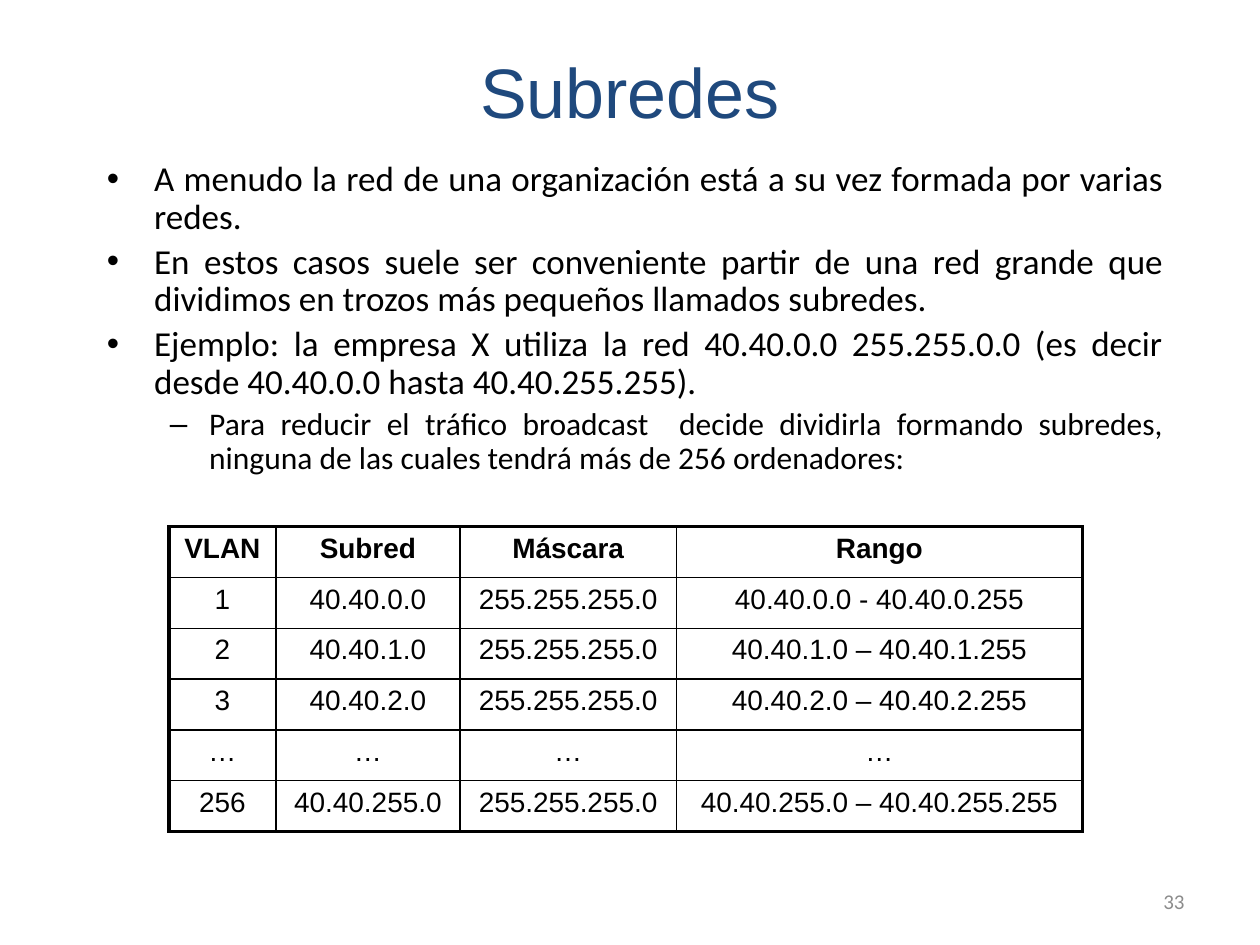
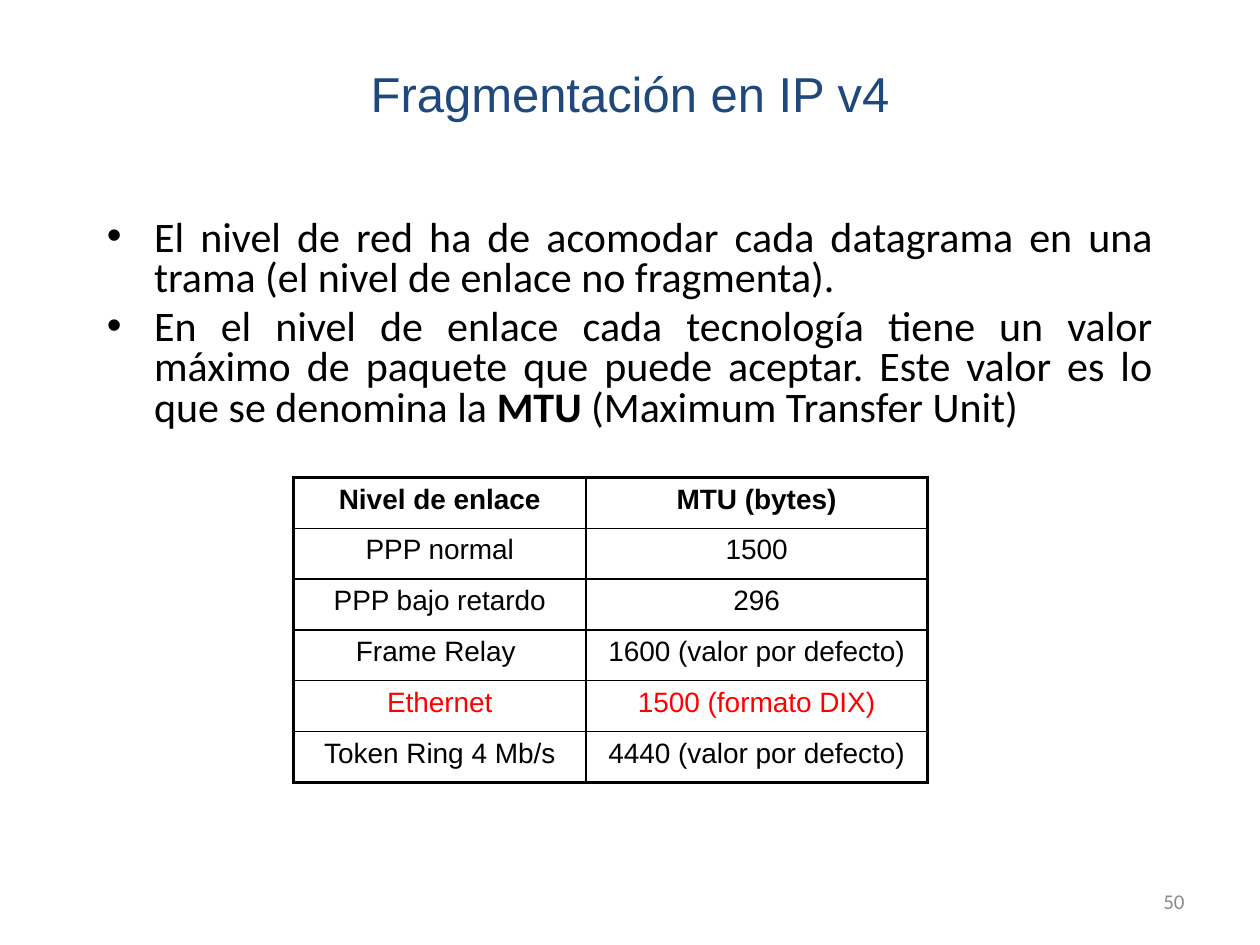
from dataclasses import dataclass

import lxml.etree
import pptx
import pptx.dml.color
import pptx.enum.text
import pptx.oxml.ns
import pptx.util

Pt = pptx.util.Pt
RGBColor = pptx.dml.color.RGBColor
Align = pptx.enum.text.PP_ALIGN
Anchor = pptx.enum.text.MSO_ANCHOR

BLACK = RGBColor(0x00, 0x00, 0x00)
RED = RGBColor(0xFF, 0x00, 0x00)
GREY = RGBColor(0x8C, 0x8C, 0x8C)
TITLE_BLUE = RGBColor(0x1F, 0x49, 0x7D)
TITLE_SKY = RGBColor(0x28, 0xA7, 0xDF)

HEADING_FONT = "Arial"
BODY_FONT = "Calibri"
TABLE_SIZE = 16
ROW_HEIGHT = 29.05
OUTER_BORDER = 2.25
INNER_BORDER = 1
SPACE_BEFORE_RATIO = 0.2


@dataclass(frozen=True)
class Box:
    left: float
    top: float
    width: float
    height: float


@dataclass(frozen=True)
class BulletLevel:
    symbol: str
    margin: float
    hanging: float


@dataclass(frozen=True)
class Bullet:
    """One list item; every second text segment is bold."""
    segments: tuple[str, ...]
    size: float
    level: int = 0


@dataclass(frozen=True)
class TableData:
    left: float
    top: float
    column_widths: tuple[float, ...]
    rows: tuple[tuple[str, ...], ...]
    highlighted_row: int | None = None


@dataclass(frozen=True)
class SlideContent:
    title: str
    title_size: float
    number: str
    body_box: Box
    line_spacing: float
    bullets: tuple[Bullet, ...]
    table: TableData


TITLE_BOX = Box(36, 21.6, 648, 69.1)
NUMBER_BOX = Box(516, 500.5, 168, 28.8)
BULLET_LEVELS = (BulletLevel("•", 27, 27), BulletLevel("–", 58.5, 22.5))

MASK = "255.255.255.0"
SUBNETS = SlideContent(
    title="Subredes",
    title_size=40,
    number="33",
    body_box=Box(54, 88.6, 618, 198.7),
    line_spacing=0.9,
    bullets=(
        Bullet(("A menudo la red de una organización está a su vez formada "
                "por varias redes. ",), 20),
        Bullet(("En estos casos suele ser conveniente partir de una red grande "
                "que dividimos en trozos más pequeños llamados subredes.",), 20),
        Bullet(("Ejemplo: la empresa X utiliza la red 40.40.0.0 255.255.0.0 "
                "(es decir desde 40.40.0.0 hasta 40.40.255.255). ",), 20),
        Bullet(("Para reducir el tráfico broadcast  decide dividirla formando "
                "subredes, ninguna de las cuales tendrá más de 256 ordenadores:",),
               18, level=1),
    ),
    table=TableData(
        left=96.5,
        top=301,
        column_widths=(61.2, 105.1, 123.8, 231.9),
        rows=(
            ("VLAN", "Subred", "Máscara", "Rango"),
            ("1", "40.40.0.0", MASK, "40.40.0.0 - 40.40.0.255"),
            ("2", "40.40.1.0", MASK, "40.40.1.0 – 40.40.1.255"),
            ("3", "40.40.2.0", MASK, "40.40.2.0 – 40.40.2.255"),
            ("…", "…", "…", "…"),
            ("256", "40.40.255.0", MASK, "40.40.255.0 – 40.40.255.255"),
        ),
    ),
)
FRAGMENTATION = SlideContent(
    title="Fragmentación en IP v4",
    title_size=28,
    number="50",
    body_box=Box(54, 122.4, 612, 136.8),
    line_spacing=0.8,
    bullets=(
        Bullet(("El nivel de red ha de acomodar cada datagrama en una trama "
                "(el nivel de enlace no fragmenta).",), 24),
        Bullet(("En el nivel de enlace cada tecnología tiene un valor máximo de "
                "paquete que puede aceptar. Este valor es lo que se denomina la ",
                "MTU", " (Maximum Transfer Unit)"), 24),
    ),
    table=TableData(
        left=167.8,
        top=272.9,
        column_widths=(167, 195.1),
        rows=(
            ("Nivel de enlace", "MTU (bytes)"),
            ("PPP normal", "1500"),
            ("PPP bajo retardo", "296"),
            ("Frame Relay ", "1600 (valor por defecto)"),
            ("Ethernet", "1500 (formato DIX)"),
            ("Token Ring 4 Mb/s", "4440 (valor por defecto)"),
        ),
        highlighted_row=4,
    ),
)


def add_element(parent, tag: str, **attributes: str):
    return lxml.etree.SubElement(parent, pptx.oxml.ns.qn(tag), attributes)


def style_run(run, font_name: str, size: float, color: RGBColor,
              bold: bool = False) -> None:
    run.font.name = font_name
    run.font.size = Pt(size)
    run.font.bold = bold
    run.font.color.rgb = color


def add_text_frame(slide, box: Box, anchor):
    shape = slide.shapes.add_textbox(
        Pt(box.left), Pt(box.top), Pt(box.width), Pt(box.height))
    shape.text_frame.word_wrap = True
    shape.text_frame.vertical_anchor = anchor
    return shape.text_frame


def add_title(slide, text: str, size: float) -> None:
    text_frame = add_text_frame(slide, TITLE_BOX, Anchor.MIDDLE)
    text_frame.text = text
    paragraph = text_frame.paragraphs[0]
    paragraph.alignment = Align.CENTER
    paragraph.line_spacing = 0.8
    font = paragraph.runs[0].font
    font.name = HEADING_FONT
    font.size = Pt(size)
    font.fill.gradient()
    font.fill.gradient_angle = 330
    stops = ((0.16, TITLE_BLUE), (1, TITLE_SKY))
    for stop, (position, color) in zip(font.fill.gradient_stops, stops):
        stop.position = position
        stop.color.rgb = color


def add_slide_number(slide, number: str) -> None:
    text_frame = add_text_frame(slide, NUMBER_BOX, Anchor.MIDDLE)
    text_frame.text = number
    paragraph = text_frame.paragraphs[0]
    paragraph.alignment = Align.RIGHT
    style_run(paragraph.runs[0], BODY_FONT, 12, GREY)


def set_bullet(paragraph, level: BulletLevel) -> None:
    properties = paragraph._p.get_or_add_pPr()
    properties.set("marL", str(Pt(level.margin)))
    properties.set("indent", str(-Pt(level.hanging)))
    add_element(properties, "a:buFont", typeface=HEADING_FONT)
    add_element(properties, "a:buChar", char=level.symbol)


def add_body(slide, content: SlideContent) -> None:
    text_frame = add_text_frame(slide, content.body_box, Anchor.TOP)
    for index, bullet in enumerate(content.bullets):
        paragraph = text_frame.add_paragraph() if index else text_frame.paragraphs[0]
        paragraph.level = bullet.level
        paragraph.alignment = Align.JUSTIFY
        paragraph.line_spacing = content.line_spacing
        paragraph.space_before = Pt(bullet.size * SPACE_BEFORE_RATIO)
        set_bullet(paragraph, BULLET_LEVELS[bullet.level])
        for segment_index, segment in enumerate(bullet.segments):
            run = paragraph.add_run()
            run.text = segment
            style_run(run, BODY_FONT, bullet.size, BLACK,
                      bold=segment_index % 2 == 1)


def set_borders(cell, outer_sides: dict[str, bool]) -> None:
    """Draw the four cell borders, thicker on the sides that are on the table's edge."""
    properties = cell._tc.get_or_add_tcPr()
    for side, is_outer in outer_sides.items():
        width = Pt(OUTER_BORDER if is_outer else INNER_BORDER)
        line = add_element(properties, f"a:ln{side}", w=str(width))
        fill = add_element(line, "a:solidFill")
        add_element(fill, "a:srgbClr", val=str(BLACK))


def add_table(slide, data: TableData) -> None:
    row_count, column_count = len(data.rows), len(data.column_widths)
    table = slide.shapes.add_table(
        row_count, column_count, Pt(data.left), Pt(data.top),
        Pt(sum(data.column_widths)), Pt(ROW_HEIGHT * row_count)).table
    table.first_row = False
    table.horz_banding = False
    for column, width in zip(table.columns, data.column_widths):
        column.width = Pt(width)
    for row_index, texts in enumerate(data.rows):
        table.rows[row_index].height = Pt(ROW_HEIGHT)
        color = RED if row_index == data.highlighted_row else BLACK
        for column_index, text in enumerate(texts):
            cell = table.cell(row_index, column_index)
            set_borders(cell, {
                "L": column_index == 0,
                "R": column_index == column_count - 1,
                "T": row_index == 0,
                "B": row_index == row_count - 1,
            })
            cell.fill.background()
            cell.text_frame.text = text
            paragraph = cell.text_frame.paragraphs[0]
            paragraph.alignment = Align.CENTER
            paragraph.space_before = Pt(TABLE_SIZE * SPACE_BEFORE_RATIO)
            style_run(paragraph.runs[0], HEADING_FONT, TABLE_SIZE, color,
                      bold=row_index == 0)


def main() -> None:
    presentation = pptx.Presentation()
    presentation.slide_width = Pt(720)
    presentation.slide_height = Pt(540)
    blank_layout = presentation.slide_layouts[6]
    for content in (SUBNETS, FRAGMENTATION):
        slide = presentation.slides.add_slide(blank_layout)
        add_slide_number(slide, content.number)
        add_title(slide, content.title, content.title_size)
        add_body(slide, content)
        add_table(slide, content.table)
    presentation.save("out.pptx")


if __name__ == "__main__":
    main()
